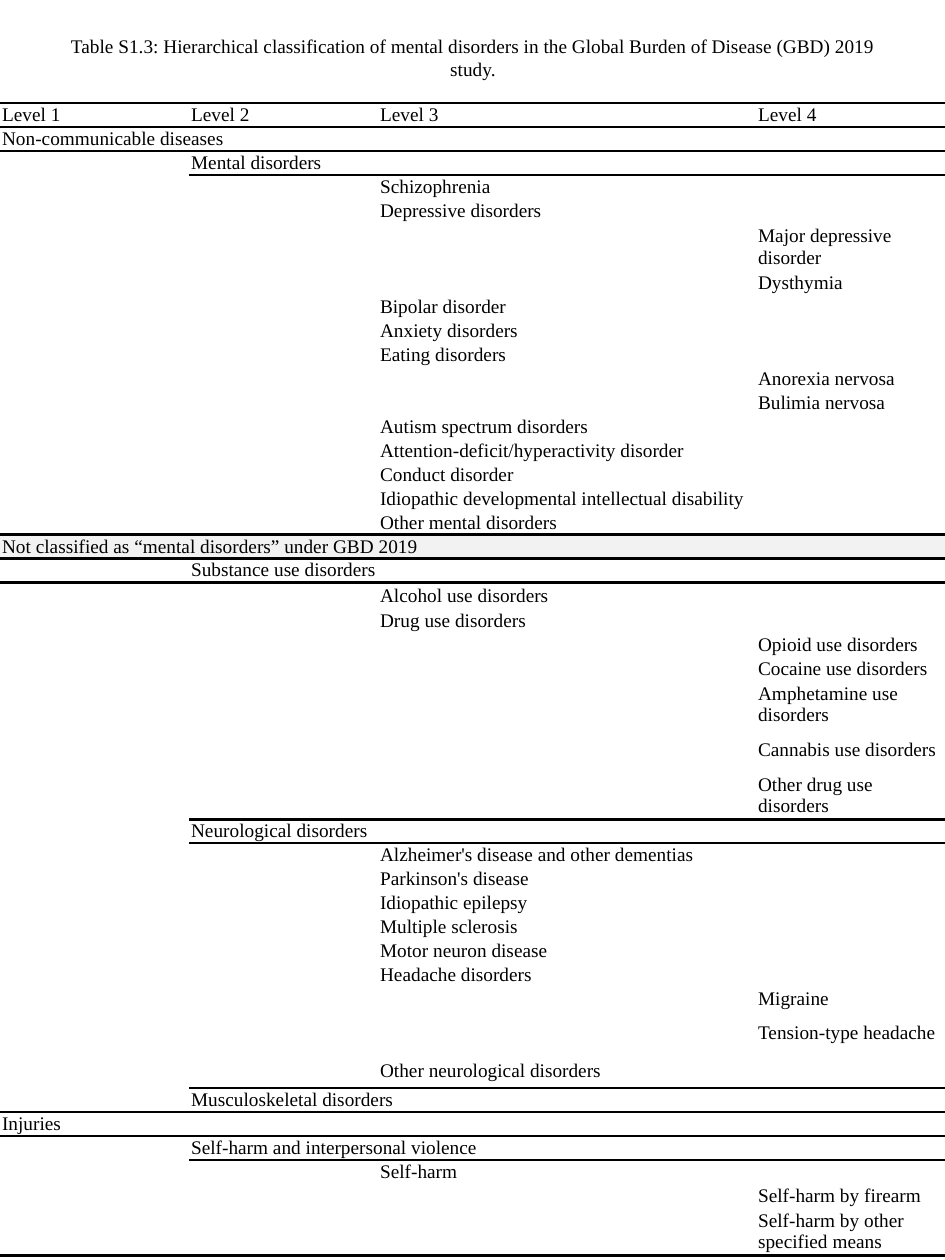
from dataclasses import dataclass
from typing import Any

from lxml import etree
from pptx import Presentation
from pptx.dml.color import RGBColor
from pptx.enum.text import MSO_ANCHOR, PP_ALIGN
from pptx.oxml.ns import qn
from pptx.util import Pt

MIDDLE = MSO_ANCHOR.MIDDLE
CENTER = PP_ALIGN.CENTER
PLAIN_STYLE = "{2D5ABB26-0587-4C30-8999-92F81FD0307C}"


@dataclass(frozen=True)
class Theme:
    font: str = "Times New Roman"
    size: float = 11
    ink: str = "000000"
    band: str = "F2F2F2"
    rule: float = 1.5


@dataclass(frozen=True)
class Row:
    """One entry; rule is the column where a line above the row begins."""
    text: str
    col: int
    span: int = 1
    high: float = 13.71
    rule: int | None = None
    fill: str | None = None


THEME = Theme()
WIDTH, HEIGHT = 540, 720
TOP, COLS = 59, 5
COL_WIDTH = WIDTH / COLS
TALL, WIDE = 27.4, 24.5
HEADS = {0: "Level 1", 1: "Level 2", 2: "Level 3"}
TITLE = ("Table S1.3: Hierarchical classification of mental disorders in the "
         "Global Burden of Disease (GBD) 2019 study.")

ROWS = [
    Row("Level 4", 4, rule=0),
    Row("Non-communicable diseases", 0, 3, rule=0),
    Row("Mental disorders", 1, 3, rule=1),
    Row("Schizophrenia", 2, 3),
    Row("Depressive disorders", 2, 3),
    Row("Major depressive disorder", 4, high=TALL),
    Row("Dysthymia", 4),
    Row("Bipolar disorder", 2, 3),
    Row("Anxiety disorders", 2, 3),
    Row("Eating disorders", 2, 3),
    Row("Anorexia nervosa", 4),
    Row("Bulimia nervosa", 4),
    Row("Autism spectrum disorders", 2, 3),
    Row("Attention-deficit/hyperactivity disorder", 2, 3),
    Row("Conduct disorder", 2, 3),
    Row("Idiopathic developmental intellectual disability", 2, 3),
    Row("Other mental disorders", 2, 3),
    Row("Not classified as “mental disorders” under GBD 2019", 0, 5, rule=0,
        fill=THEME.band),
    Row("Substance use disorders", 1, 3, rule=0),
    Row("Alcohol use disorders", 2, 2, high=15.1),
    Row("Drug use disorders", 2, 2),
    Row("Opioid use disorders", 4),
    Row("Cocaine use disorders", 4),
    Row("Amphetamine use disorders", 4, high=TALL),
    Row("Cannabis use disorders", 4, high=WIDE),
    Row("Other drug use disorders", 4, high=TALL),
    Row("Neurological disorders", 1, 3, rule=1),
    Row("Alzheimer's disease and other dementias", 2, 3),
    Row("Parkinson's disease", 2, 2),
    Row("Idiopathic epilepsy", 2, 2),
    Row("Multiple sclerosis", 2, 2),
    Row("Motor neuron disease", 2, 2),
    Row("Headache disorders", 2, 2),
    Row("Migraine", 4),
    Row("Tension-type headache", 4, high=WIDE),
    Row("Other neurological disorders", 2, 2, high=19.4),
    Row("Musculoskeletal disorders", 1, 3, rule=1),
    Row("Injuries", 0, 4, rule=0),
    Row("Self-harm and interpersonal violence", 1, 4, rule=1),
    Row("Self-harm", 2, 2),
    Row("Self-harm by firearm", 4),
    Row("Self-harm by other specified means", 4, high=TALL),
]

FONT = {"name": THEME.font, "size": Pt(THEME.size)}
CELL = {"margin_left": Pt(1.2), "margin_right": Pt(1.2), "margin_top": 0,
        "margin_bottom": 0, "vertical_anchor": MIDDLE}


def apply(item: Any, form: dict[str, Any]) -> None:
    for name, value in form.items():
        setattr(item, name, value)


def write(para: Any, text: str) -> None:
    run = para.add_run()
    run.text = text
    apply(run.font, FONT)
    run.font.color.rgb = RGBColor.from_string(THEME.ink)


def draw_edge(cell: Any, side: str, place: int) -> None:
    props = cell._tc.get_or_add_tcPr()
    line = etree.Element(qn(f"a:{side}"), w=str(Pt(THEME.rule)))
    fill = etree.SubElement(line, qn("a:solidFill"))
    etree.SubElement(fill, qn("a:srgbClr"), val=THEME.ink)
    props.insert(place, line)


def clear(cell: Any) -> None:
    """Set margins, no fill, and a small type size for empty text."""
    apply(cell, CELL)
    cell.fill.background()
    end = etree.SubElement(cell.text_frame.paragraphs[0]._p,
                           qn("a:endParaRPr"))
    end.set("sz", str(int(THEME.size * 100)))


def fill_row(table: Any, num: int, row: Row, below: int | None) -> None:
    cells = [table.cell(num, col) for col in range(COLS)]
    for cell in cells:
        clear(cell)
    end = row.col + row.span
    if row.span > 1:
        cells[row.col].merge(cells[end - 1])
    if row.col == 4:
        cells[2].merge(cells[3])
    if end == 3:
        cells[3].merge(cells[4])
    write(cells[row.col].text_frame.paragraphs[0], row.text)
    if row.fill:
        cells[row.col].fill.solid()
        cells[row.col].fill.fore_color.rgb = RGBColor.from_string(row.fill)
    for col, cell in enumerate(cells):
        if cell.is_spanned:
            continue
        over = row.rule is not None and col >= row.rule
        if over:
            draw_edge(cell, "lnT", 0)
        if below is not None and col >= below:
            draw_edge(cell, "lnB", int(over))


def draw_title(slide: Any) -> None:
    box = slide.shapes.add_textbox(Pt(23), Pt(15.8), Pt(494.6), Pt(33.8))
    box.text_frame.word_wrap = True
    para = box.text_frame.paragraphs[0]
    para.alignment = CENTER
    write(para, TITLE)


def draw_table(slide: Any) -> None:
    total = sum(row.high for row in ROWS)
    frame = slide.shapes.add_table(len(ROWS), COLS, 0, Pt(TOP),
                                   Pt(WIDTH), Pt(total))
    table = frame.table
    apply(table, {"first_row": False, "horz_banding": False})
    frame._element.find(".//" + qn("a:tableStyleId")).text = PLAIN_STYLE
    for col in table.columns:
        col.width = Pt(COL_WIDTH)
    rules = [row.rule for row in ROWS[1:]] + [0]
    for num, (row, below) in enumerate(zip(ROWS, rules)):
        table.rows[num].height = Pt(row.high)
        fill_row(table, num, row, below)
    for col, head in HEADS.items():
        write(table.cell(0, col).text_frame.paragraphs[0], head)


def main() -> None:
    deck = Presentation()
    apply(deck, {"slide_width": Pt(WIDTH), "slide_height": Pt(HEIGHT)})
    slide = deck.slides.add_slide(deck.slide_layouts[6])
    draw_title(slide)
    draw_table(slide)
    deck.save("out.pptx")


if __name__ == "__main__":
    main()
